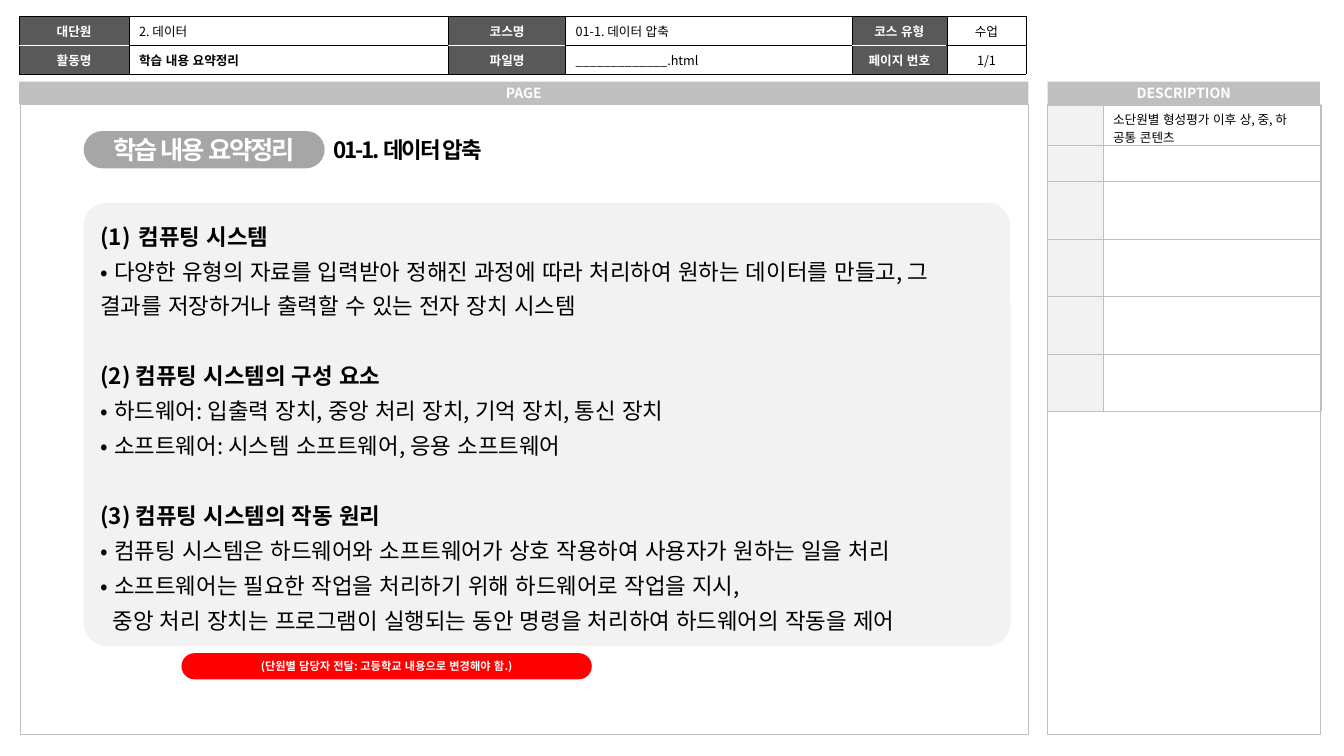
"""Build the storyboard slide that sums up the lesson on data compression."""
import lxml.etree
import pptx
import pptx.dml.color
import pptx.enum.shapes
import pptx.enum.text
import pptx.oxml.ns
import pptx.util

COURSE_LABELS = [["대단원", "", "코스명", "", "코스 유형", ""],
                 ["활동명", "", "파일명", "", "페이지 번호", ""]]
COURSE_ENTRIES = [["", "2. 데이터", "", "01-1. 데이터 압축", "", "수업"],
                  ["", "학습 내용 요약정리", "", "_____________.html", "", "1/1"]]
PANELS = ["PAGE", "DESCRIPTION"]
ACTIVITY = "학습 내용 요약정리"
LESSON = "01-1. 데이터 압축"
DESCRIPTION = "소단원별 형성평가 이후 상, 중, 하 공통 콘텐츠"
SUMMARY = [
    ("number", "컴퓨팅 시스템"),
    ("text", "• 다양한 유형의 자료를 입력받아 정해진 과정에 따라 처리하여 원하는 데이터를 만들고, "
             "그 결과를 저장하거나 출력할 수 있는 전자 장치 시스템"),
    ("heading", "(2) 컴퓨팅 시스템의 구성 요소"),
    ("text", "• 하드웨어: 입출력 장치, 중앙 처리 장치, 기억 장치, 통신 장치"),
    ("text", "• 소프트웨어: 시스템 소프트웨어, 응용 소프트웨어"),
    ("heading", "(3) 컴퓨팅 시스템의 작동 원리"),
    ("text", "• 컴퓨팅 시스템은 하드웨어와 소프트웨어가 상호 작용하여 사용자가 원하는 일을 처리"),
    ("text", "• 소프트웨어는 필요한 작업을 처리하기 위해 하드웨어로 작업을 지시,"),
    ("indented", "중앙 처리 장치는 프로그램이 실행되는 동안 명령을 처리하여 하드웨어의 작동을 제어"),
]
HANDOVER = "(단원별 담당자 전달: 고등학교 내용으로 변경해야 함.)"

THEME = {
    "font": "Noto Sans CJK KR", "language": "ko-KR",
    "table_style": "{2D5ABB26-0587-4C30-8999-92F81FD0307C}",
    "white": "FFFFFF", "black": "000000", "label": "595959", "bar": "BFBFBF",
    "pill": "A6A6A6", "pale": "F2F2F2", "alert": "FF0000",
    "note": 8, "small": 9, "panel": 10, "body": 16, "activity": 18,
    "line": 0.25, "leading": 1.3, "section_gap": 25, "tight": -150,
}
WIDTH, HEIGHT = 13.33, 7.5
PANEL_SPANS = [(0.2, 10), (10.39, 2.7)]
BAR_SPANS = [(0.19, 10.01), (10.39, 2.7)]
BAR_TOP, BAR_HEIGHT, PANEL_HEIGHT = 0.81, 0.22, 6.25
PANEL_TOP = BAR_TOP + BAR_HEIGHT
COURSE_LEFT, COURSE_TOP = 0.19, 0.16
COURSE_COLUMNS = [1.09, 3.17, 1.16, 2.84, 0.94, 0.79]
COURSE_ROWS = [0.29, 0.28]
NOTE_COLUMNS = [0.55, 2.16]
NOTE_ROWS = [0.4, 0.36] + [0.57] * 4
CONTENT_LEFT, TITLE_TOP, TITLE_HEIGHT, PILL_WIDTH = 0.83, 1.3, 0.37, 2.39

ALIGN = pptx.enum.text.PP_ALIGN
MIDDLE = pptx.enum.text.MSO_ANCHOR.MIDDLE
inches = pptx.util.Inches


def rgb(key):
    return pptx.dml.color.RGBColor.from_string(THEME[key])


def add_xml(parent, tag, **attributes):
    return lxml.etree.SubElement(parent, pptx.oxml.ns.qn(tag), attributes)


def write(paragraph, text, size, color="black", bold=False, align=ALIGN.LEFT, spacing=0):
    paragraph.text = text
    paragraph.alignment = align
    for run in paragraph.runs:
        run.font.size = pptx.util.Pt(THEME[size])
        run.font.name = THEME["font"]
        run.font.bold = bold
        run.font.color.rgb = rgb(color)
        properties = run.font._element
        properties.set("lang", THEME["language"])
        add_xml(properties, "a:ea", typeface=THEME["font"])
        if spacing:
            properties.set("spc", str(spacing))
    if not text:
        add_xml(paragraph._p, "a:endParaRPr", sz=str(THEME[size] * 100))


def add_box(slide, box, fill, rounding=0, line=None):
    shapes = pptx.enum.shapes.MSO_SHAPE
    shape = slide.shapes.add_shape(
        shapes.RECTANGLE if line else shapes.ROUNDED_RECTANGLE, *map(inches, box))
    shape.shadow.inherit = False
    shape.fill.solid()
    shape.fill.fore_color.rgb = rgb(fill)
    if line:
        shape.line.color.rgb = rgb(line)
        shape.line.width = pptx.util.Pt(THEME["line"])
    else:
        shape.adjustments[0] = rounding
        shape.line.fill.background()
    shape.text_frame.word_wrap = True
    shape.text_frame.vertical_anchor = MIDDLE
    return shape


def add_label(slide, box, fill, text, size, rounding=0, spacing=0):
    frame = add_box(slide, box, fill, rounding).text_frame
    write(frame.paragraphs[0], text, size, "white", True, ALIGN.CENTER, spacing)


def add_grid(slide, left, top, columns, rows):
    table = slide.shapes.add_table(
        len(rows), len(columns), *map(inches, (left, top, sum(columns), sum(rows)))).table
    table.first_row = table.horz_banding = False
    table._tbl.tblPr.find(pptx.oxml.ns.qn("a:tableStyleId")).text = THEME["table_style"]
    for column, width in zip(table.columns, columns):
        column.width = inches(width)
    for row, height in zip(table.rows, rows):
        row.height = inches(height)
    return table


def style_cell(cell, fill=None, borders=()):
    cell.vertical_anchor = MIDDLE
    if fill:
        cell.fill.solid()
        cell.fill.fore_color.rgb = rgb(fill)
    else:
        cell.fill.background()
    properties = cell._tc.get_or_add_tcPr()
    for position, (side, color) in enumerate(zip("LRTB", borders)):
        border = add_xml(properties, "a:ln" + side, w=str(pptx.util.Pt(THEME["line"])))
        add_xml(add_xml(border, "a:solidFill"), "a:srgbClr", val=THEME[color])
        properties.insert(position, border)


def add_course_labels(slide):
    table = add_grid(slide, COURSE_LEFT, COURSE_TOP, COURSE_COLUMNS, COURSE_ROWS)
    for r, labels in enumerate(COURSE_LABELS):
        for c, label in enumerate(labels):
            cell = table.cell(r, c)
            inner = "white" if label else "black"
            top, bottom = ("black", inner) if r == 0 else (inner, "black")
            style_cell(cell, "label" if label else None, ("black", "black", top, bottom))
            write(cell.text_frame.paragraphs[0], label, "small", "white", True, ALIGN.CENTER)


def add_course_entries(slide):
    table = add_grid(slide, COURSE_LEFT, COURSE_TOP, COURSE_COLUMNS, COURSE_ROWS)
    for r, entries in enumerate(COURSE_ENTRIES):
        for c, entry in enumerate(entries):
            cell = table.cell(r, c)
            style_cell(cell)
            write(cell.text_frame.paragraphs[0], entry, "small", bold=entry == ACTIVITY,
                  align=ALIGN.CENTER if c == len(entries) - 1 else ALIGN.LEFT)


def add_description_table(slide):
    table = add_grid(slide, PANEL_SPANS[1][0], PANEL_TOP + 0.01, NOTE_COLUMNS, NOTE_ROWS)
    for r in range(len(NOTE_ROWS)):
        for c, fill in enumerate(("pale", None)):
            cell = table.cell(r, c)
            style_cell(cell, fill, ["bar"] * 4)
            cell.margin_bottom = 0
            write(cell.text_frame.paragraphs[0], DESCRIPTION if (r, c) == (0, 1) else "", "small")


def add_summary(slide):
    frame = add_box(slide, (CONTENT_LEFT, 2.01, 9.19, 4.4), "pale", 0.053).text_frame
    for index, (role, text) in enumerate(SUMMARY):
        paragraph = frame.add_paragraph() if index else frame.paragraphs[0]
        write(paragraph, text, "body", bold=role in ("number", "heading"))
        paragraph.line_spacing = THEME["leading"]
        properties = paragraph._p.get_or_add_pPr()
        if role == "heading":
            paragraph.space_before = pptx.util.Pt(THEME["section_gap"])
        elif role == "indented":
            properties.set("marL", str(inches(0.12)))
        elif role == "number":
            properties.set("marL", str(inches(0.38)))
            properties.set("indent", str(inches(-0.38)))
            add_xml(properties, "a:buFont", typeface=THEME["font"])
            add_xml(properties, "a:buAutoNum", type="arabicParenBoth")


def main():
    deck = pptx.Presentation()
    deck.slide_width, deck.slide_height = inches(WIDTH), inches(HEIGHT)
    slide = deck.slides.add_slide(deck.slide_layouts[6])
    for left, width in PANEL_SPANS:
        add_box(slide, (left, PANEL_TOP, width, PANEL_HEIGHT), "white", line="bar")
    add_course_labels(slide)
    for title, (left, width) in zip(PANELS, BAR_SPANS):
        add_label(slide, (left, BAR_TOP, width, BAR_HEIGHT), "bar", title, "panel")
    add_course_entries(slide)
    add_label(slide, (CONTENT_LEFT, TITLE_TOP, PILL_WIDTH, TITLE_HEIGHT), "pill", ACTIVITY,
              "activity", 0.5, THEME["tight"])
    lesson = slide.shapes.add_textbox(
        *map(inches, (3.21, TITLE_TOP, 3.38, TITLE_HEIGHT))).text_frame
    lesson.word_wrap = True
    lesson.vertical_anchor = MIDDLE
    write(lesson.paragraphs[0], LESSON, "body", bold=True, spacing=THEME["tight"])
    add_description_table(slide)
    add_summary(slide)
    add_label(slide, (1.8, 6.48, 4.07, 0.26), "alert", HANDOVER, "note", 0.5)
    deck.save("out.pptx")


if __name__ == "__main__":
    main()
